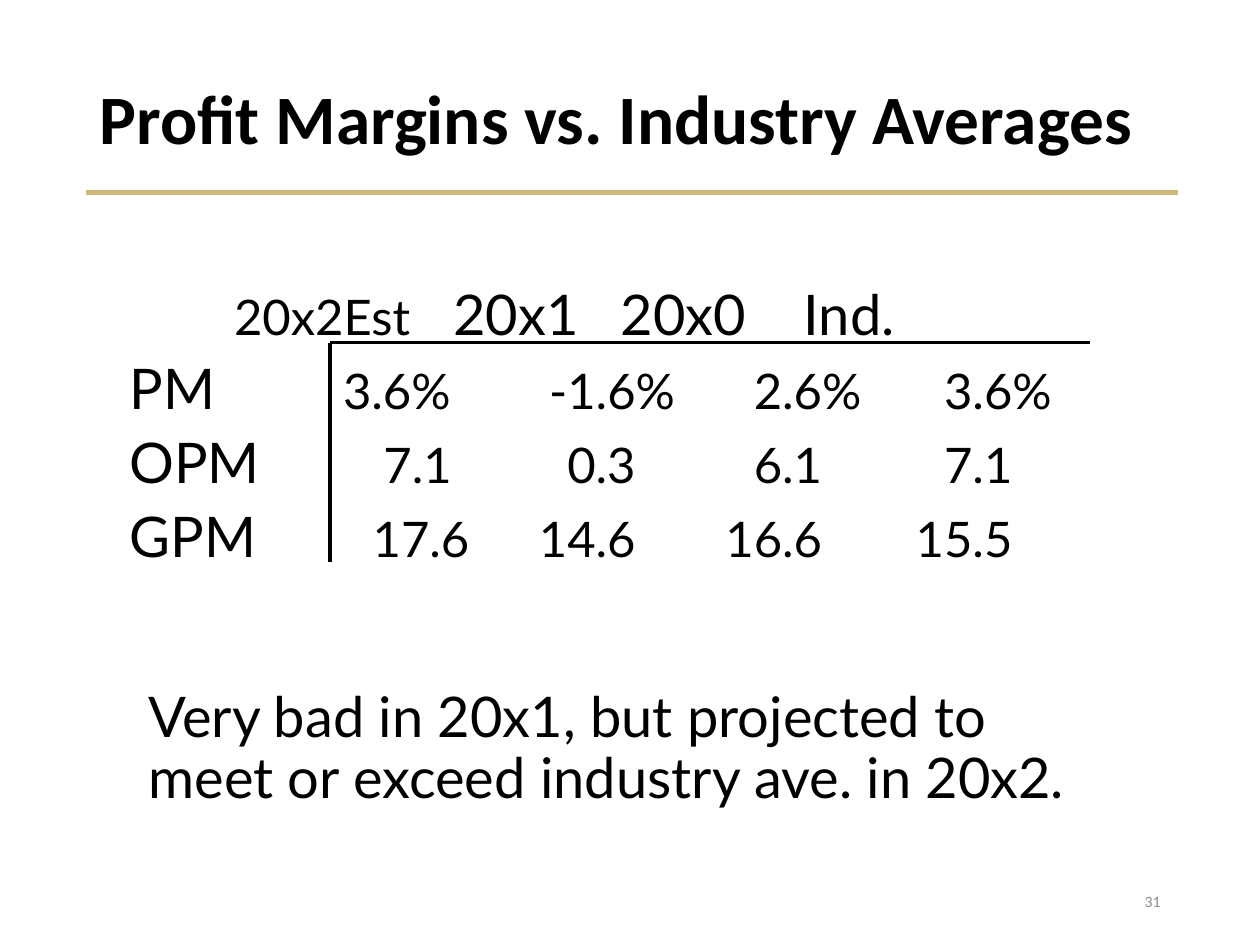
"""Build the slide that compares profit margins with industry averages."""
from lxml import etree
from pptx import Presentation
from pptx.dml.color import RGBColor
from pptx.enum.shapes import MSO_CONNECTOR
from pptx.enum.text import MSO_ANCHOR, MSO_AUTO_SIZE, PP_ALIGN
from pptx.oxml.ns import qn
from pptx.util import Inches, Pt

STRAIGHT = MSO_CONNECTOR.STRAIGHT
MIDDLE = MSO_ANCHOR.MIDDLE
NONE = MSO_AUTO_SIZE.NONE
LEFT, RIGHT = PP_ALIGN.LEFT, PP_ALIGN.RIGHT

THEME = {
    "head": "Calibri", "body": "Lato",
    "ink": RGBColor(0, 0, 0),
    "gold": RGBColor(0xCF, 0xB8, 0x7C),
    "gray": RGBColor(0x8C, 0x8C, 0x8C),
    "title": 39.6, "large": 32, "small": 28, "page": 9,
}


def add_run(para, text, size, face="body", color="ink", bold=False):
    run = para.add_run()
    run.text = text
    font = run.font
    font.name = THEME[face]
    font.size = Pt(THEME[size])
    font.bold = bold
    font.color.rgb = THEME[color]


def add_line(shapes, x1, y1, x2, y2, color, width):
    line = shapes.add_connector(
        STRAIGHT, Inches(x1), Inches(y1), Inches(x2), Inches(y2))
    line.line.color.rgb = THEME[color]
    line.line.width = Pt(width)
    etree.SubElement(line._element.spPr, qn("a:effectLst"))


deck = Presentation()
deck.slide_width, deck.slide_height = Inches(10), Inches(7.5)
slide = deck.slides.add_slide(deck.slide_layouts[5])
shapes = slide.shapes

title = shapes.title
title.left, title.top = Inches(0.69), Inches(0.4)
title.width, title.height = Inches(8.62), Inches(1.13)
frame = title.text_frame
frame.auto_size = NONE
frame.vertical_anchor = MIDDLE
para = frame.paragraphs[0]
para.alignment = LEFT
para.line_spacing = 0.9
add_run(para, "Profit Margins vs. Industry Averages", "title", "head", bold=True)
add_line(shapes, 0.68, 1.53, 9.35, 1.53, "gold", 3)

page = shapes.add_textbox(Inches(7.06), Inches(6.95), Inches(2.25), Inches(0.4))
frame = page.text_frame
frame.word_wrap = True
frame.vertical_anchor = MIDDLE
para = frame.paragraphs[0]
para.alignment = RIGHT
add_run(para, "31", "page", "head", "gray")

note = shapes.add_textbox(Inches(1.08), Inches(5.42), Inches(8.17), Inches(1.07))
frame = note.text_frame
frame.word_wrap = True
lines = ["Very bad in 20x1, but projected to",
         "meet or exceed industry ave. in 20x2."]
for i, text in enumerate(lines):
    para = frame.add_paragraph() if i else frame.paragraphs[0]
    para.line_spacing = 0.9
    add_run(para, text, "large")

stops = [3.7, 5.18, 6.69]
rows = [
    ("l", [0.83, 2.57, 3.9, 5.35],
     [("\t20x2Est", "small"), ("\t20x1\t20x0\tInd.", "large")]),
    ("dec", [1.92] + stops,
     [("PM", "large"), ("\t3.6%\t-1.6%\t2.6%\t3.6%", "small")]),
    ("dec", [2.24] + stops,
     [("OPM", "large"), ("\t7.1\t0.3\t6.1\t7.1", "small")]),
    ("dec", [2.38] + stops,
     [("GPM", "large"), ("\t17.6\t14.6\t16.6\t15.5", "small")]),
]
group = shapes.add_group_shape()
grid = group.shapes.add_textbox(
    Inches(0.93), Inches(2.12), Inches(8.14), Inches(2.47))
frame = grid.text_frame
frame.word_wrap = True
for i, (kind, places, runs) in enumerate(rows):
    para = frame.add_paragraph() if i else frame.paragraphs[0]
    tabs = etree.SubElement(para._p.get_or_add_pPr(), qn("a:tabLst"))
    for place in places:
        etree.SubElement(tabs, qn("a:tab"), pos=str(Inches(place)), algn=kind)
    para.line_spacing = 1.1
    for text, size in runs:
        add_run(para, text, size)

for x, y in [(8.65, 2.72), (2.62, 4.46)]:
    add_line(group.shapes, 2.62, 2.72, x, y, "ink", 2)

deck.save("out.pptx")
